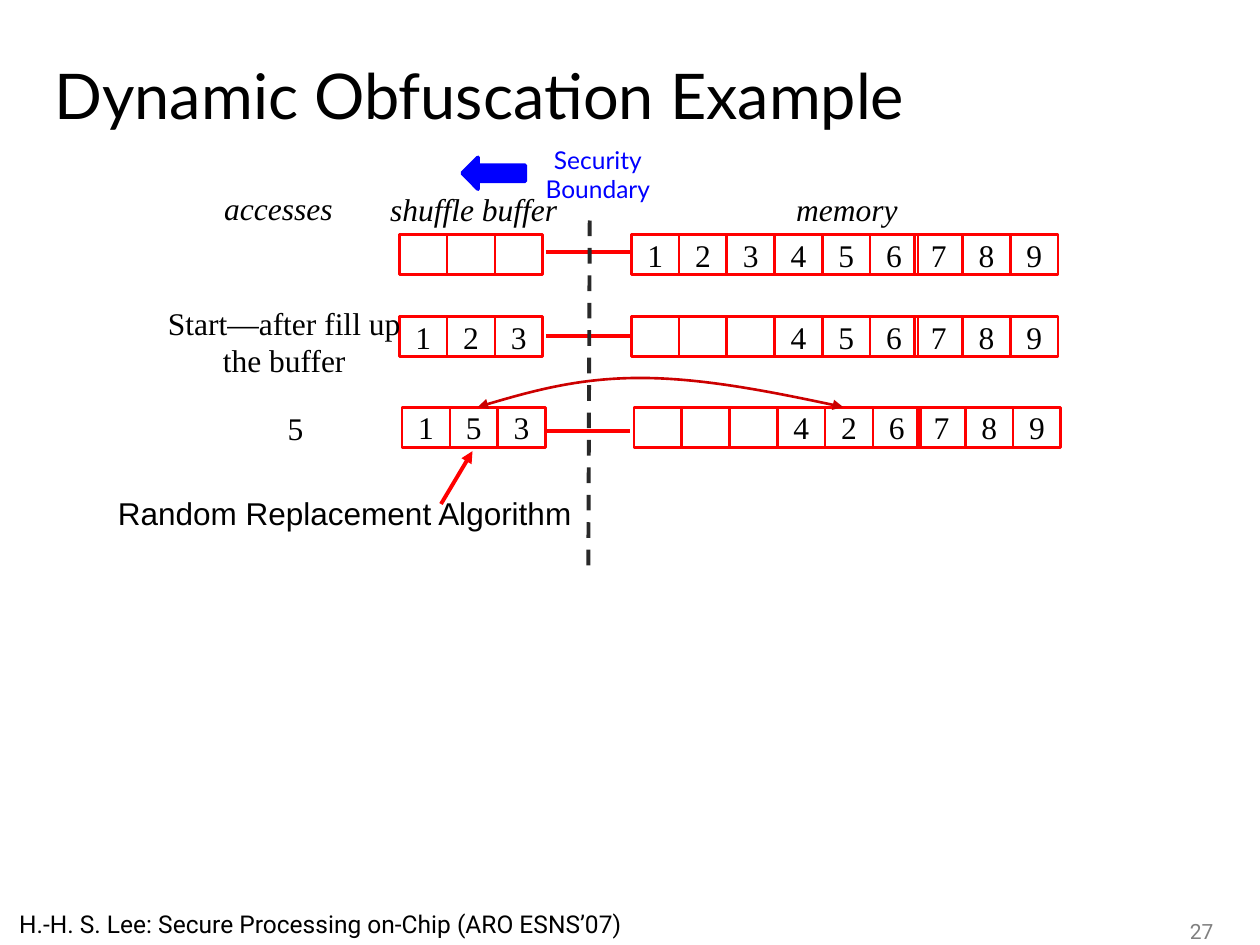
"""Builds the Dynamic Obfuscation Example slide."""
from dataclasses import dataclass

from lxml import etree
from pptx import Presentation
from pptx.dml.color import RGBColor
from pptx.enum import dml, shapes, text
from pptx.oxml import ns
from pptx.util import Pt


@dataclass(frozen=True)
class Theme:
    """Colours, type faces and type sizes of the slide."""
    ink: str = "000000"
    red: str = "FF0000"
    swap: str = "CC0000"
    dash: str = "292929"
    blue: str = "0000FF"
    grey: str = "808080"
    head: str = "Lato"
    plain: str = "Roboto"
    serif: str = "Times New Roman"
    sans: str = "Arial"
    title: int = 36
    label: int = 18
    note: int = 14
    number: int = 12
    thin: float = 1.5
    thick: float = 2.25


T = Theme()
CELL_W, CELL_H = 27.3, 23
MEMORY_X = 132.5
INSET = (7.2, 3.6)


def set_text(tf, lines, size, font, color=T.ink, align=text.PP_ALIGN.CENTER,
             inset=(0, 0), wrap=True, italic=None):
    """Fills a text frame with equally formatted paragraphs."""
    tf.word_wrap = wrap
    tf.auto_size = text.MSO_AUTO_SIZE.NONE
    tf.margin_left = tf.margin_right = Pt(inset[0])
    tf.margin_top = tf.margin_bottom = Pt(inset[1])
    tf.text = lines
    for p in tf.paragraphs:
        p.alignment = align
        p.font.size, p.font.name, p.font.italic = Pt(size), font, italic
        p.font.color.rgb = RGBColor.from_string(color)


def add_label(parent, box, lines, size=T.label, font=T.serif, **options):
    """Adds a text box."""
    tb = parent.add_textbox(*map(Pt, box))
    set_text(tb.text_frame, lines, size, font, **options)


def set_line(sp, color, width, ends=()):
    """Sets the outline of a shape and the arrowheads at the named ends."""
    sp.line.color.rgb = RGBColor.from_string(color)
    sp.line.width = Pt(width)
    for end in ends:
        etree.SubElement(sp.line._get_or_add_ln(), ns.qn(f"a:{end}"), type="triangle")


def add_line(parent, start, end, color=T.red, dash=None, ends=()):
    """Adds a straight connector without a shadow."""
    c = parent.add_connector(shapes.MSO_CONNECTOR.STRAIGHT, *map(Pt, start + end))
    set_line(c, color, T.thick)
    if dash:
        c.line.dash_style = dash
    for name in ends:
        etree.SubElement(c.line._get_or_add_ln(), ns.qn(f"a:{name}"), type="triangle")
    etree.SubElement(c._element.spPr, ns.qn("a:effectLst"))


def add_cells(parent, x, y, values):
    """Draws a run of cells; the seventh and later ones sit slightly closer."""
    for i, value in enumerate(values):
        left = x + i * CELL_W - (1.8 if i >= 6 else 0)
        sp = parent.add_shape(shapes.MSO_SHAPE.RECTANGLE,
                              *map(Pt, (left, y, CELL_W, CELL_H)))
        sp.shadow.inherit = False
        sp.fill.background()
        set_line(sp, T.red, T.thin)
        sp.text_frame.vertical_anchor = text.MSO_ANCHOR.TOP
        if value.strip():
            set_text(sp.text_frame, value, T.label, T.serif, inset=(0.7, 0.7))


def add_row(s, x, y, buffer, memory, link_y):
    """Draws the shuffle buffer, the memory and their link as one group."""
    group = s.shapes.add_group_shape().shapes
    add_cells(group, x, y, buffer)
    add_cells(group, x + MEMORY_X, y, memory)
    add_line(group, (312, link_y), (360, link_y))
    return group


def add_swap(parent, x, y, w, h):
    """Draws the double-headed arc that swaps two cells."""
    left, peak, right = x, x + 0.445 * w, x + w
    fb = parent.build_freeform(Pt(right), Pt(y + h))
    fb.add_line_segments([(Pt(peak), Pt(y)), (Pt(left), Pt(y + h))], close=False)
    sp = fb.convert_to_shape()
    sp.shadow.inherit = False
    sp.fill.background()
    set_line(sp, T.swap, T.thin, ("headEnd", "tailEnd"))
    curves = [[(0.807, 0.48), (0.61, 0), (0.445, 0)],
              [(0.279, 0), (0.138, 0.48), (0, 1)]]
    for segment, points in zip(list(sp._element.iter(ns.qn("a:lnTo"))), curves):
        segment.tag = ns.qn("a:cubicBezTo")
        segment.clear()
        for px, py in points:
            etree.SubElement(segment, ns.qn("a:pt"),
                             x=str(int(Pt(px * w))), y=str(int(Pt(py * h))))


def add_title(s, box):
    """Places the title placeholder."""
    sp = s.shapes.title
    sp.left, sp.top, sp.width, sp.height = map(Pt, box)
    sp.text_frame.vertical_anchor = text.MSO_ANCHOR.MIDDLE
    set_text(sp.text_frame, "Dynamic Obfuscation Example", T.title, T.head,
             align=text.PP_ALIGN.LEFT, inset=INSET)


def add_headings(s, x, y):
    """Names the three columns."""
    for dx, dy, w, name in [(98.6, 0.7, 121, "shuffle buffer"),
                            (315.4, 0.7, 113.8, "memory"), (0, 0, 95, "accesses")]:
        add_label(s.shapes, (x + dx, y + dy, w, 23), name, italic=True)


def add_boundary(s, x, y):
    """Draws the security boundary mark with its arrow."""
    add_label(s.shapes, (x + 38.2, y, 78.5, 41), "Security\nBoundary", T.note, T.head,
              color=T.blue, inset=INSET, wrap=False)
    sp = s.shapes.add_shape(shapes.MSO_SHAPE.LEFT_ARROW, *map(Pt, (x, y + 10.8, 36, 18)))
    sp.shadow.inherit = False
    sp.fill.solid()
    sp.fill.fore_color.rgb = RGBColor.from_string(T.blue)
    set_line(sp, T.blue, T.thick)


def add_states(s, x, y):
    """Draws the three buffer states and the boundary line."""
    add_row(s, x, y, "   ", "123456789", y + 10)
    filled = add_row(s, x, y + 46.8, "123", "   456789", y + 58.2)
    add_label(filled, (x - 132.4, y + 39.5, 133.2, 39), "Start—after fill up the buffer")
    add_line(s.shapes, (x + 108.8, y - 8), (x + 108, y + 190), T.dash,
             dml.MSO_LINE.DASH)
    swapped = add_row(s, x + 1.6, y + 98.7, "153", "   426789", y + 112.2)
    add_label(swapped, (x - 78.4, y + 100, 38, 20), "5")
    add_swap(swapped, x + 44.8, y + 82, 208.8, 16.6)
    add_label(swapped, (x - 168.4, y + 144.6, 274.3, 29), "Random Replacement Algorithm",
              font=T.sans, inset=INSET, wrap=False)
    add_line(swapped, (x + 23.8, y + 154), (x + 41.8, y + 123.8), ends=("tailEnd",))


def add_footer(s, y):
    """Places the credit line and the slide number."""
    add_label(s.shapes, (-5.8, y, 378, 24.5),
              "H.-H. S. Lee: Secure Processing on-Chip (ARO ESNS’07)",
              T.note, T.plain, inset=INSET)
    add_label(s.shapes, (653, y + 5, 47.5, 12.2), "27", T.number, T.plain,
              color=T.grey, align=text.PP_ALIGN.RIGHT, inset=INSET)


def main():
    """Builds and saves the slide."""
    prs = Presentation()
    prs.slide_width, prs.slide_height = Pt(720), Pt(540)
    s = prs.slides.add_slide(prs.slide_layouts[5])
    add_title(s, (24, 24, 648, 60))
    add_headings(s, 111.6, 108)
    add_states(s, 228.2, 134)
    add_boundary(s, 264.2, 79.2)
    add_footer(s, 516.2)
    prs.save("out.pptx")


if __name__ == "__main__":
    main()
